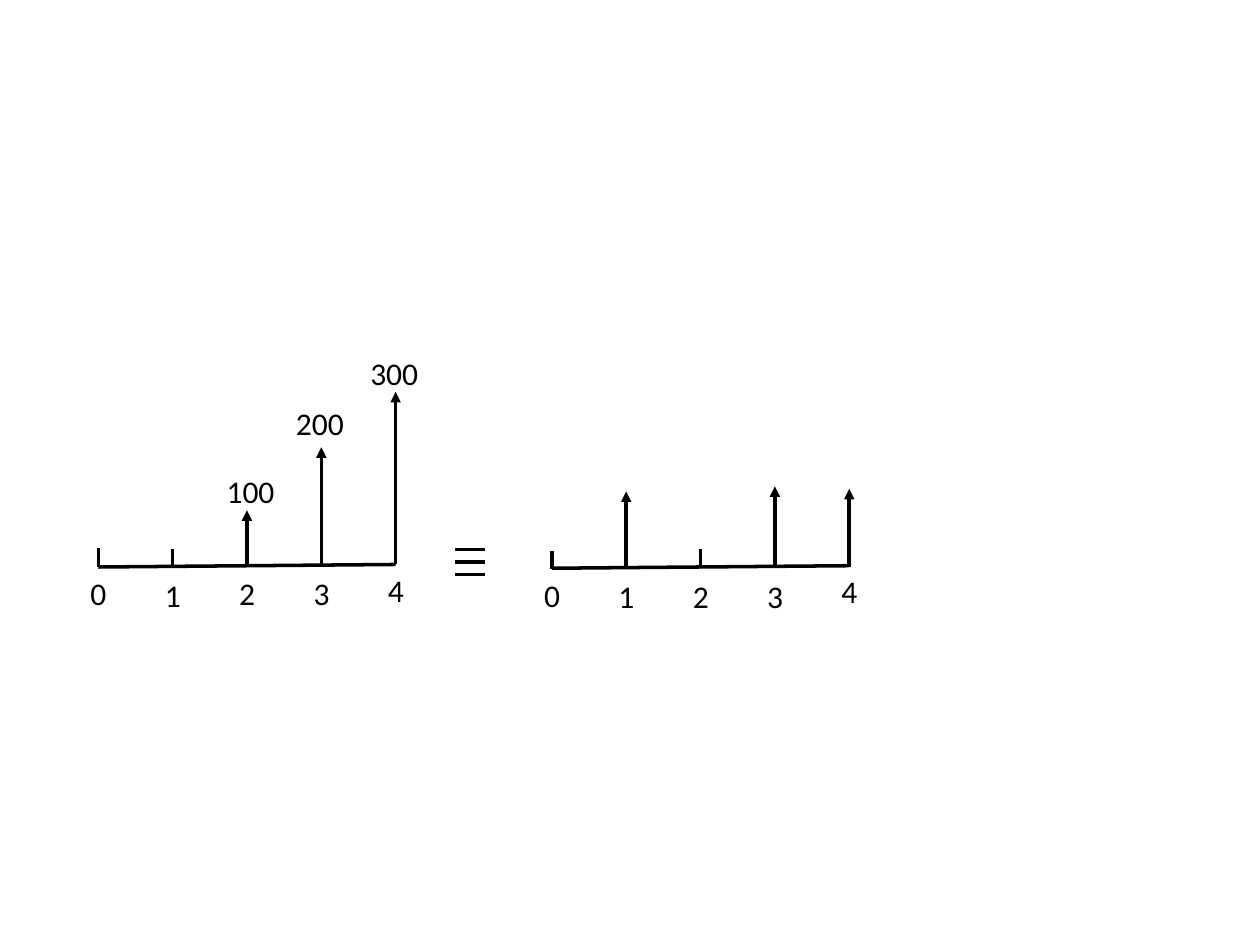
from dataclasses import dataclass

from lxml import etree
from pptx import Presentation
from pptx.dml.color import RGBColor
from pptx.enum import shapes, text
from pptx.oxml import ns
from pptx.util import Inches, Pt

BLACK = "000000"
STEP = 0.59
TICK = 0.15


@dataclass
class Flow:
    """An arrow at one period, with its amount if shown."""
    period: int
    bottom: float
    top: float
    amount: str = ""
    amount_left: float = 0
    amount_top: float = 0


@dataclass
class Diagram:
    """A cash flow time line."""
    left: float
    start_y: float
    end_y: float
    tick_bottoms: list[float]
    label_tops: list[float]
    flows: list[Flow]


DIAGRAMS = [
    Diagram(0.78, 4.5, 4.48, [4.5, 4.51, 4.5, 4.5, 4.48],
            [4.51, 4.52, 4.51, 4.51, 4.48],
            [Flow(2, 4.5, 4.05, "100", 1.7, 3.7),
             Flow(3, 4.44, 3.55, "200", 2.25, 3.16),
             Flow(4, 4.47, 3.11, "300", 2.84, 2.76)]),
    Diagram(4.38, 4.51, 4.49, [4.52, 4.52, 4.51, 4.51, 4.5],
            [4.52, 4.53, 4.53, 4.53, 4.49],
            [Flow(1, 4.49, 3.9), Flow(3, 4.46, 3.86), Flow(4, 4.47, 3.88)]),
]


def color(value: str) -> RGBColor:
    """Turn a hex string into a colour."""
    return RGBColor.from_string(value)


def add_line(tree, x1: float, y1: float, x2: float, y2: float, arrow: bool = False) -> None:
    """Draw a straight line, with an arrowhead at its end if asked."""
    c = tree.add_connector(shapes.MSO_CONNECTOR.STRAIGHT,
                           Inches(x1), Inches(y1), Inches(x2), Inches(y2))
    c.line.width = Pt(2)
    c.line.color.rgb = color(BLACK)
    if arrow:
        etree.SubElement(c.line._get_or_add_ln(), ns.qn("a:tailEnd"), type="triangle")
    etree.SubElement(c._element.spPr, ns.qn("a:effectLst"))


def add_label(tree, label: str, left: float, top: float, width: float) -> None:
    """Write a label in an unwrapped text box."""
    tf = tree.add_textbox(Inches(left), Inches(top), Inches(width), Inches(0.4)).text_frame
    tf.word_wrap = False
    tf.auto_size = text.MSO_AUTO_SIZE.SHAPE_TO_FIT_TEXT
    r = tf.paragraphs[0].add_run()
    r.text = label
    r.font.name = "Calibri"
    r.font.size = Pt(18)
    r.font.color.rgb = color(BLACK)


def add_diagram(tree, d: Diagram) -> None:
    """Draw the axis, ticks, period labels and flows of a diagram."""
    add_line(tree, d.left, d.start_y, d.left + 4 * STEP, d.end_y)
    for period, (bottom, top) in enumerate(zip(d.tick_bottoms, d.label_tops)):
        x = d.left + period * STEP
        add_line(tree, x, bottom, x, bottom - TICK)
        add_label(tree, str(period), x - 0.16, top, 0.33)
    for flow in d.flows:
        x = d.left + flow.period * STEP
        add_line(tree, x, flow.bottom, x, flow.top, arrow=True)
        if flow.amount:
            add_label(tree, flow.amount, flow.amount_left, flow.amount_top, 0.59)


def main() -> None:
    """Build the slide with two equivalent cash flow diagrams."""
    prs = Presentation()
    prs.slide_width, prs.slide_height = Inches(10), Inches(7.5)
    s = prs.slides.add_slide(prs.slide_layouts[6])
    for d in DIAGRAMS:
        add_diagram(s.shapes, d)
    equivalence = s.shapes.add_group_shape()
    for y in (4.56, 4.46, 4.36):
        add_line(equivalence.shapes, 3.85, y, 3.61, y)
    prs.save("out.pptx")


if __name__ == "__main__":
    main()
